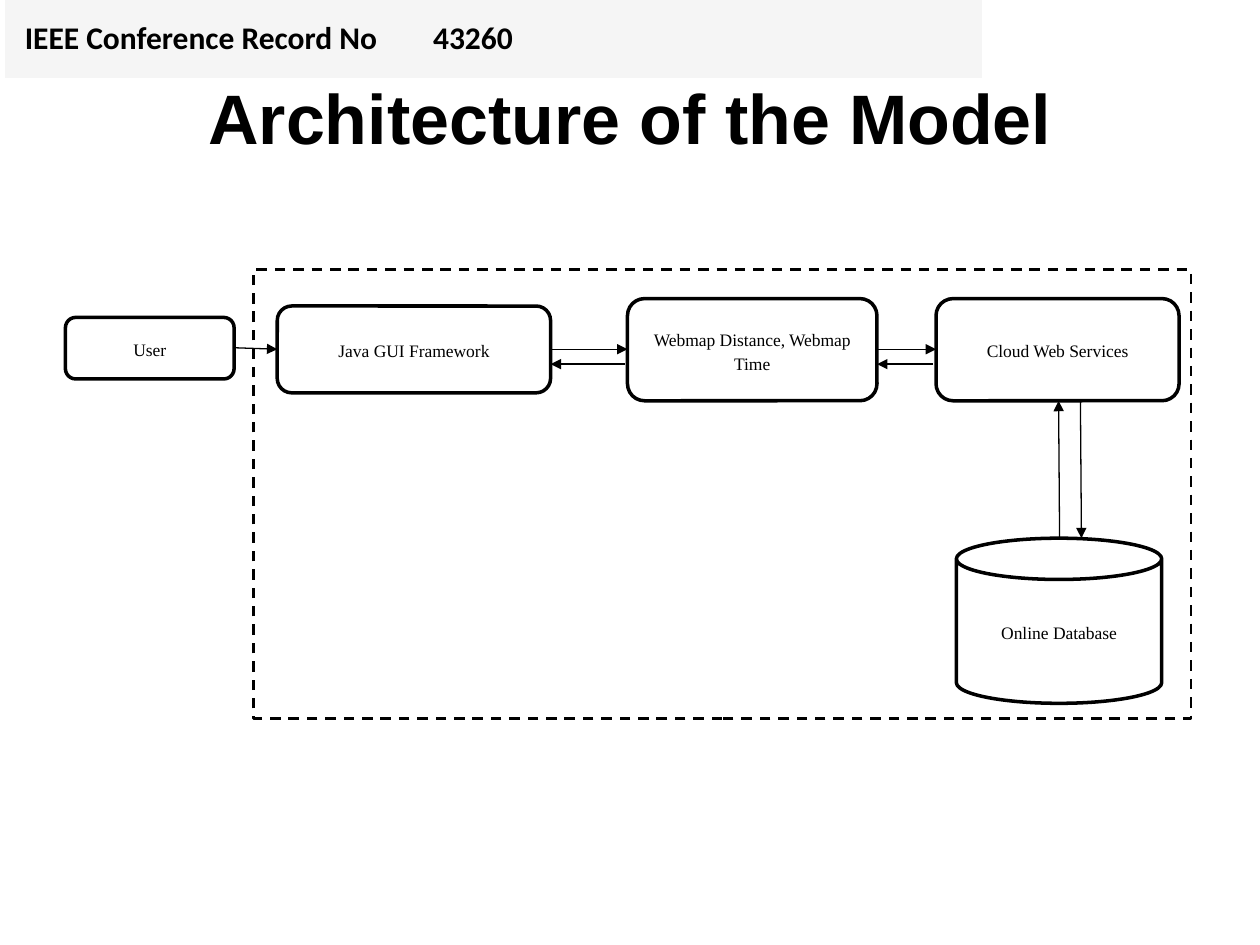
from lxml import etree
from pptx import Presentation
from pptx import util as u
from pptx.dml.color import RGBColor
from pptx.enum import dml, shapes, text
from pptx.oxml.ns import qn

BLACK, WHITE, BAND = "000000", "FFFFFF", "F5F5F5"
NO_GRID_STYLE = "{2D5ABB26-0587-4C30-8999-92F81FD0307C}"

# Content: lengths in centimetres
TITLE = "Architecture of the Model"
RECORD = [("IEEE Conference Record No", 8.23), ("43260", 11.46)]
FRAME = (5.11, 5.44, 18.9, 9.04)
ROUND, CAN = shapes.MSO_SHAPE.ROUNDED_RECTANGLE, shapes.MSO_SHAPE.CAN
# name: (label, shape, (left, top, width, height), line spacing, space after)
PARTS = {
    "gui": ("Java GUI Framework", ROUND, (5.59, 6.17, 5.51, 1.75), 1.15, 10),
    "database": ("Online Database", CAN, (19.28, 10.85, 4.14, 3.33), 1.15, 10),
    "user": ("User", ROUND, (1.32, 6.4, 3.4, 1.24), 1.15, 10),
    "maps": ("Webmap Distance, Webmap Time", ROUND, (12.65, 6.02, 5.03, 2.06), 1.15, 10),
    "cloud": ("Cloud Web Services", ROUND, (18.87, 6.02, 4.9, 2.06), 1.06, 8),
}
REQUEST_Y, REPLY_Y = 7.04, 7.34
READ_X, WRITE_X = 21.34, 21.78


def colour(value):
    return RGBColor.from_string(value)


def add_text(para, words, font, size, bold=False):
    span = para.add_run()
    span.text = words
    span.font.name, span.font.size, span.font.bold = font, u.Pt(size), bold
    span.font.color.rgb = colour(BLACK)


def add_box(page, kind, place, width, fill=None):
    box = page.shapes.add_shape(kind, *map(u.Cm, place))
    box.shadow.inherit = False
    if fill:
        box.fill.solid()
        box.fill.fore_color.rgb = colour(fill)
    else:
        box.fill.background()
    box.line.color.rgb = colour(BLACK)
    box.line.width = u.Pt(width)
    return box


def add_arrow(page, start, end):
    arrow = page.shapes.add_connector(
        shapes.MSO_CONNECTOR.STRAIGHT, *map(u.Cm, start + end))
    arrow.line.color.rgb = colour(BLACK)
    arrow.line.width = u.Pt(0.75)
    etree.SubElement(arrow.line._get_or_add_ln(), qn("a:tailEnd"), type="triangle")
    etree.SubElement(arrow._element.spPr, qn("a:effectLst"))


def left(name):
    return PARTS[name][2][0]


def right(name):
    return left(name) + PARTS[name][2][2]


def build():
    deck = Presentation()
    deck.slide_width, deck.slide_height = u.Cm(25.4), u.Cm(19.05)
    page = deck.slides.add_slide(deck.slide_layouts[6])

    # Record number band
    holder = page.shapes.add_table(
        1, len(RECORD), u.Cm(0.1), u.Cm(0), u.Cm(19.69), u.Cm(1.55))
    holder._element.find(".//" + qn("a:tableStyleId")).text = NO_GRID_STYLE
    table = holder.table
    table.first_row = table.horz_banding = False
    for index, (words, width) in enumerate(RECORD):
        table.columns[index].width = u.Cm(width)
        cell = table.cell(0, index)
        cell.fill.solid()
        cell.fill.fore_color.rgb = colour(BAND)
        cell.margin_left = cell.margin_right = u.Cm(0.4)
        cell.margin_top = cell.margin_bottom = u.Cm(0.4)
        add_text(cell.text_frame.paragraphs[0], words, "Calibri", 18, True)

    # Title
    heading = page.shapes.add_textbox(
        u.Cm(1.27), u.Cm(0.76), u.Cm(22.86), u.Cm(3.18)).text_frame
    heading.word_wrap = True
    heading.vertical_anchor = text.MSO_ANCHOR.MIDDLE
    heading.paragraphs[0].alignment = text.PP_ALIGN.CENTER
    add_text(heading.paragraphs[0], TITLE, "Arial", 40, True)

    # Components
    for label, kind, place, spacing, after in PARTS.values():
        body = add_box(page, kind, place, 2, WHITE).text_frame
        body.word_wrap = True
        body.vertical_anchor = text.MSO_ANCHOR.MIDDLE
        para = body.paragraphs[0]
        para.alignment = text.PP_ALIGN.CENTER
        para.line_spacing, para.space_after = spacing, u.Pt(after)
        add_text(para, label, "Times New Roman", 10)

    # Requests run right, replies run left
    add_arrow(page, (right("user"), REQUEST_Y - 0.03), (left("gui"), REQUEST_Y))
    for near, far in [("gui", "maps"), ("maps", "cloud")]:
        add_arrow(page, (right(near), REQUEST_Y), (left(far), REQUEST_Y))
        add_arrow(page, (left(far) - 0.06, REPLY_Y), (right(near), REPLY_Y))

    # Database traffic
    cloud_place, database_place = PARTS["cloud"][2], PARTS["database"][2]
    cloud_bottom, database_top = cloud_place[1] + cloud_place[3], database_place[1]
    add_arrow(page, (READ_X + 0.02, database_top), (READ_X, cloud_bottom))
    add_arrow(page, (WRITE_X, cloud_bottom), (WRITE_X + 0.02, database_top))

    # System boundary
    frame = add_box(page, shapes.MSO_SHAPE.RECTANGLE, FRAME, 1.5)
    frame.line.dash_style = dml.MSO_LINE.DASH

    deck.save("out.pptx")


if __name__ == "__main__":
    build()
